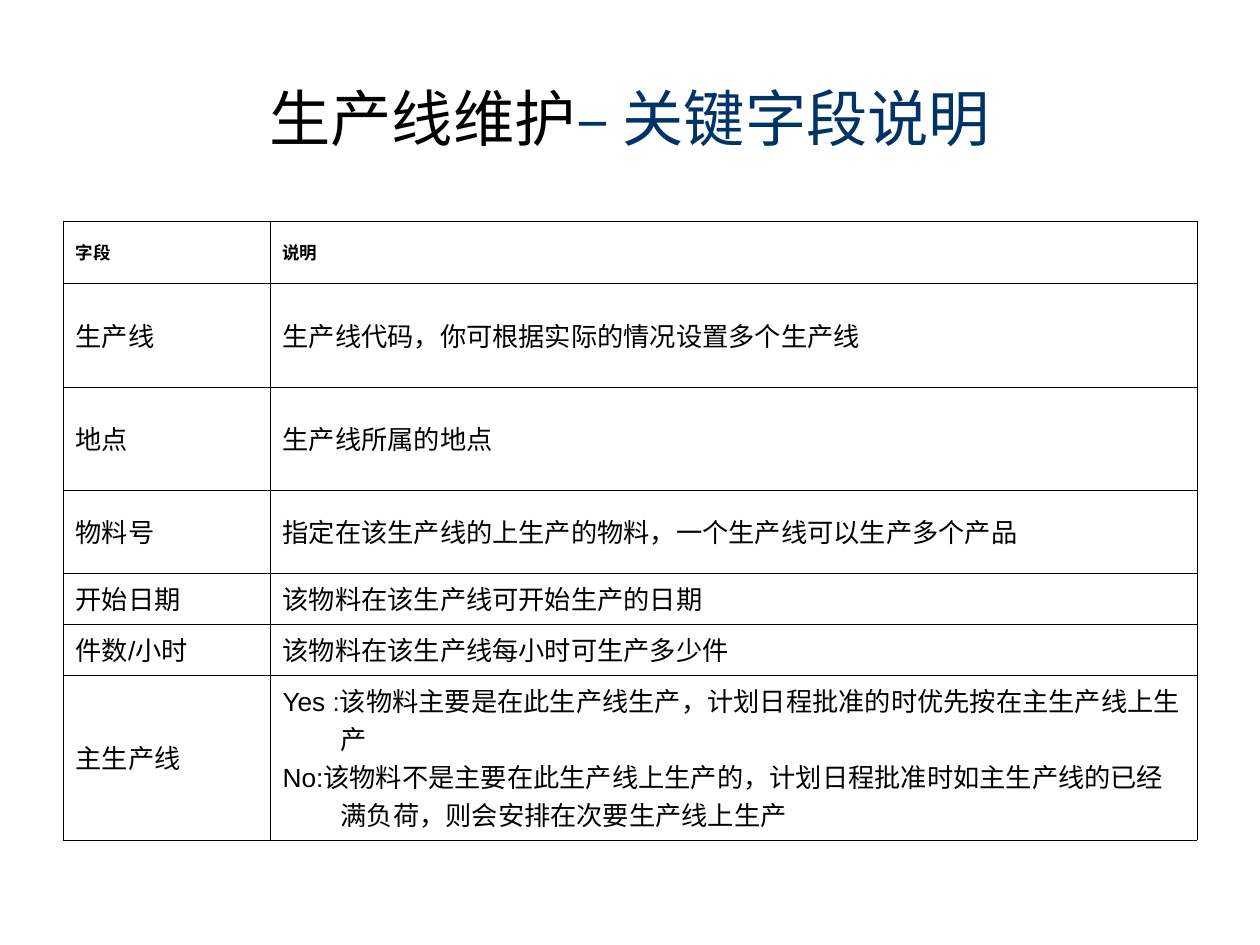
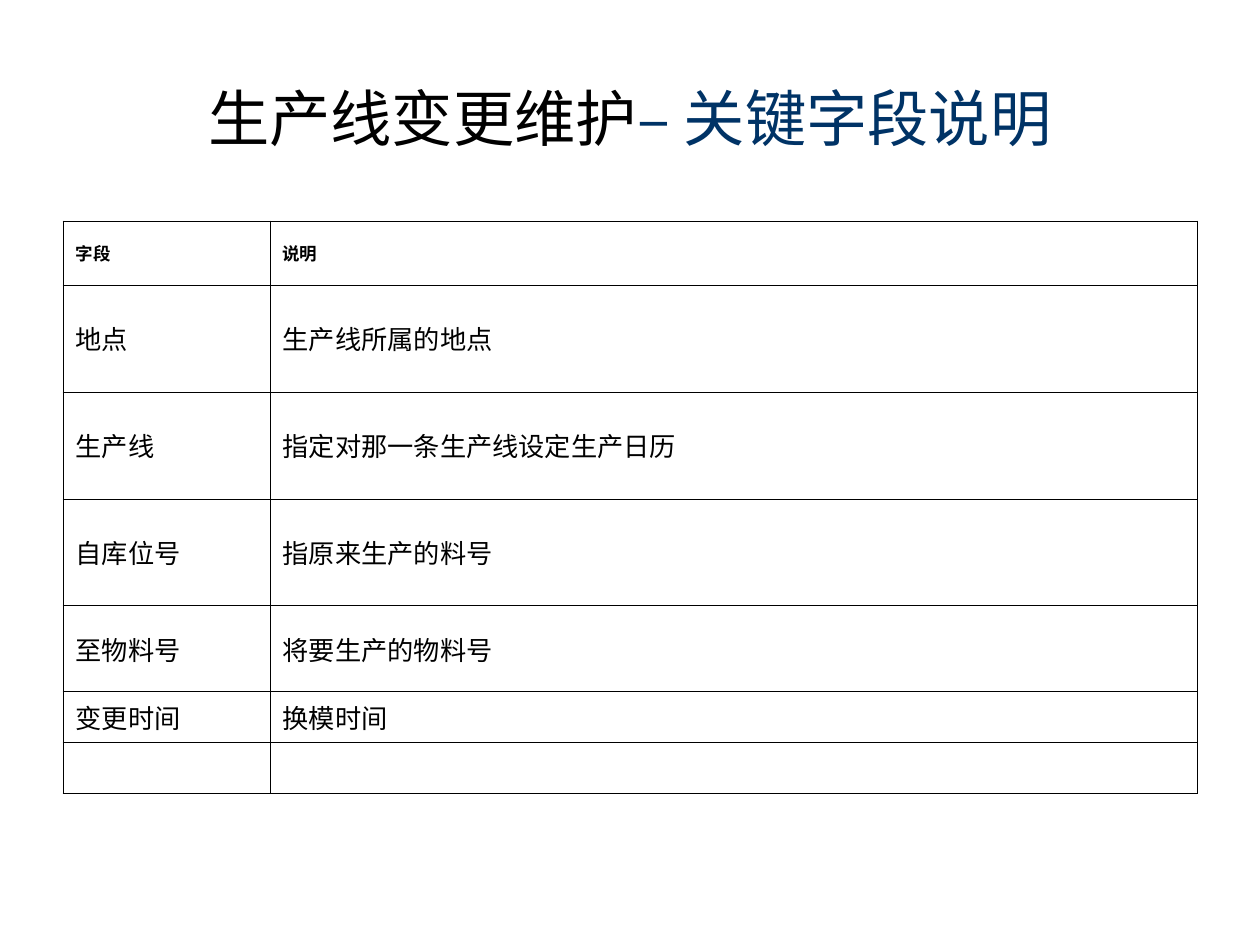
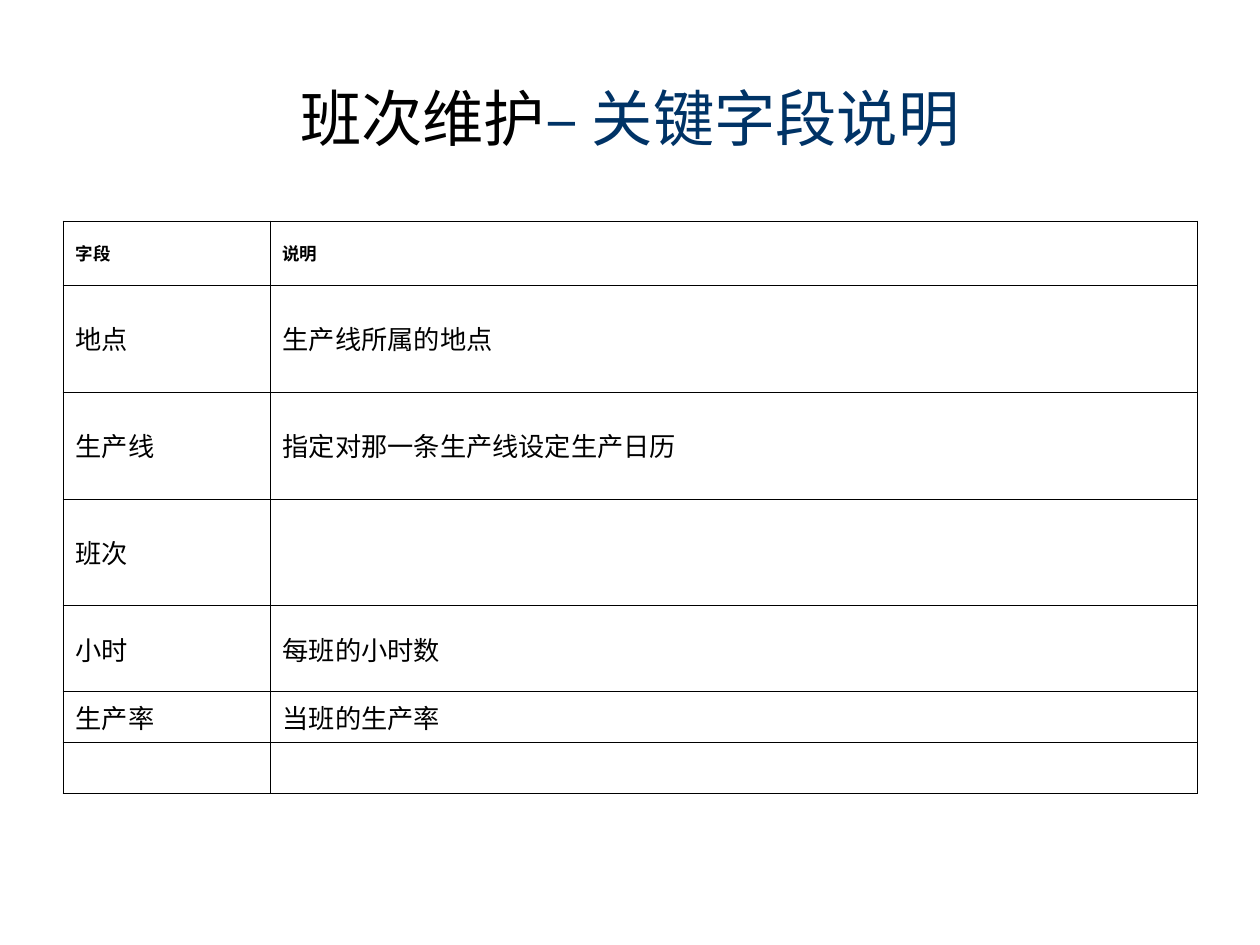
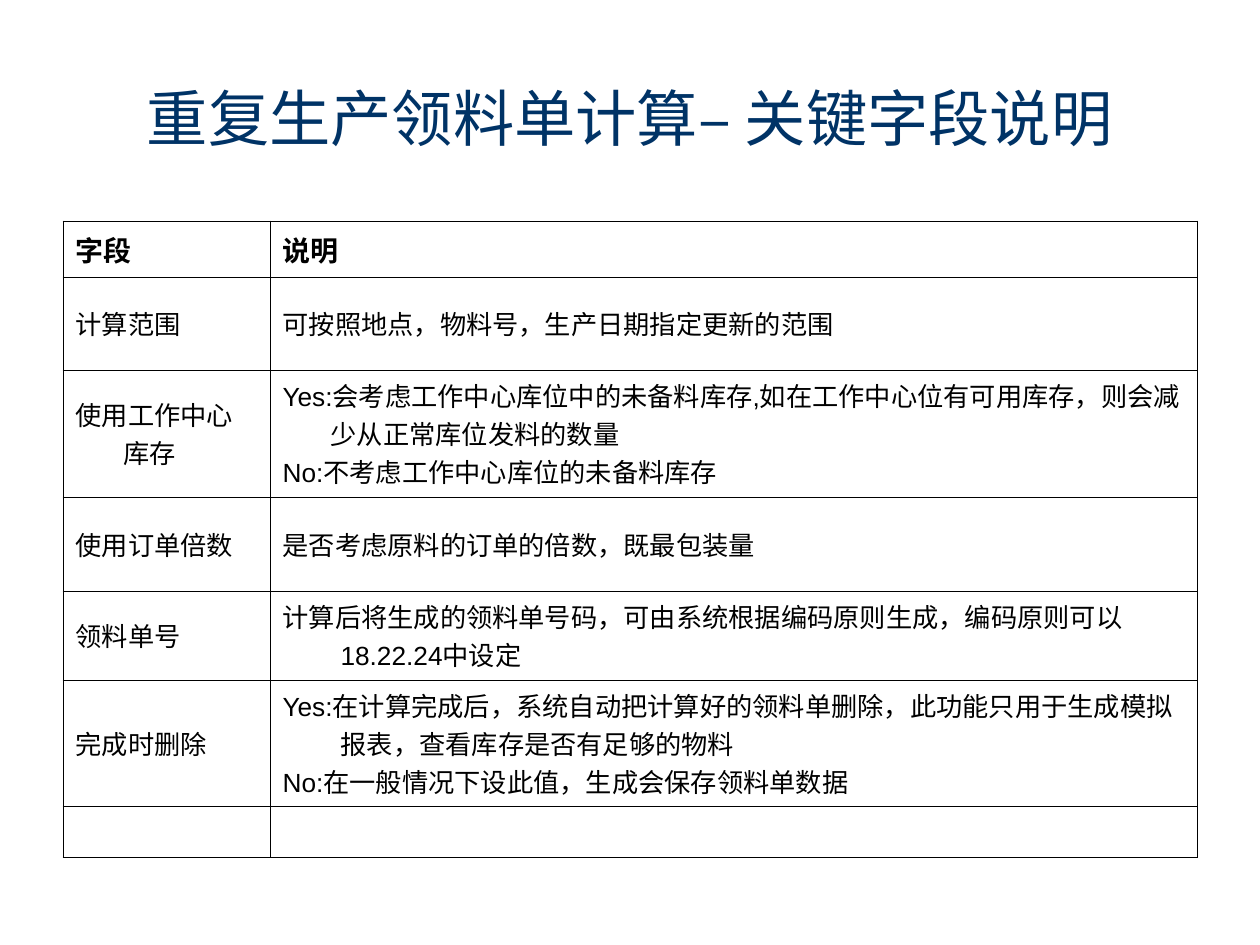
from lxml import etree
from pptx import Presentation
from pptx import util as u
from pptx.dml import color
from pptx.enum import text
from pptx.oxml import ns

PIXEL = 914400 // 126
COLORS = {"ink": "000000", "title": "003366"}
TITLE_FONT = "Montserrat"
HEADER_FONT = "Noto Sans CJK SC"
BODY_FONT = "Arial"
EAST_ASIAN_FONT = "Noto Sans CJK SC"
BORDER_WIDTH = u.Pt(0.45)
COLUMN_WIDTHS = [207, 927]
NARROW_INDENT, WIDE_INDENT = 48, 58
SUFFIX = "– 关键字段说明"
HEADER = ("字段", "说明")
LINE_ROWS = [64, 107, 107, 107, 86, 51, 49]

pages = [
    {
        "title": "生产线维护", "title_color": "ink", "header_size": 10, "wide_from": 3,
        "heights": [62, 104, 103, 83, 51, 51, 165],
        "rows": [
            ("生产线", "生产线代码，你可根据实际的情况设置多个生产线"),
            ("地点", "生产线所属的地点"),
            ("物料号", "指定在该生产线的上生产的物料，一个生产线可以生产多个产品"),
            ("开始日期", "该物料在该生产线可开始生产的日期"),
            ("件数/小时", "该物料在该生产线每小时可生产多少件"),
            ("主生产线", "Yes :该物料主要是在此生产线生产，计划日程批准的时优先按在主生产线上生产\n"
                     "No:该物料不是主要在此生产线上生产的，计划日程批准时如主生产线的已经满负荷，"
                     "则会安排在次要生产线上生产"),
        ],
    },
    {
        "title": "生产线变更维护", "title_color": "ink", "header_size": 10, "wide_from": 4,
        "heights": LINE_ROWS,
        "rows": [
            ("地点", "生产线所属的地点"),
            ("生产线", "指定对那一条生产线设定生产日历"),
            ("自库位号", "指原来生产的料号"),
            ("至物料号", "将要生产的物料号"),
            ("变更时间", "换模时间"),
            ("", ""),
        ],
    },
    {
        "title": "班次维护", "title_color": "ink", "header_size": 10, "wide_from": 4,
        "heights": LINE_ROWS,
        "rows": [
            ("地点", "生产线所属的地点"),
            ("生产线", "指定对那一条生产线设定生产日历"),
            ("班次", ""),
            ("小时", "每班的小时数"),
            ("生产率", "当班的生产率"),
            ("", ""),
        ],
    },
    {
        "title": "重复生产领料单计算", "title_color": "title", "header_size": 16, "wide_from": 4,
        "heights": [56, 93, 127, 94, 89, 127, 43],
        "rows": [
            ("计算范围", "可按照地点，物料号，生产日期指定更新的范围"),
            ("使用工作中心库存", "Yes:会考虑工作中心库位中的未备料库存,如在工作中心位有可用库存，"
                         "则会减少从正常库位发料的数量\n"
                         "No:不考虑工作中心库位的未备料库存"),
            ("使用订单倍数", "是否考虑原料的订单的倍数，既最包装量"),
            ("领料单号", "计算后将生成的领料单号码，可由系统根据编码原则生成，"
                     "编码原则可以18.22.24中设定"),
            ("完成时删除", "Yes:在计算完成后，系统自动把计算好的领料单删除，"
                      "此功能只用于生成模拟报表，查看库存是否有足够的物料\n"
                      "No:在一般情况下设此值，生成会保存领料单数据"),
            ("", ""),
        ],
    },
]


def set_font(font, name, size, bold=False):
    font.name = name
    font.size = u.Pt(size)
    font.bold = bold
    east_asian = etree.SubElement(font._element, ns.qn("a:ea"))
    east_asian.set("typeface", EAST_ASIAN_FONT)


def draw_borders(cell):
    properties = cell._tc.get_or_add_tcPr()
    for side in ("a:lnL", "a:lnR", "a:lnT", "a:lnB"):
        line = etree.SubElement(properties, ns.qn(side), w=str(int(BORDER_WIDTH)))
        fill = etree.SubElement(line, ns.qn("a:solidFill"))
        etree.SubElement(fill, ns.qn("a:srgbClr"), val=COLORS["ink"])


deck = Presentation()
deck.slide_width = 1260 * PIXEL
deck.slide_height = 945 * PIXEL

for page in pages:
    slide = deck.slides.add_slide(deck.slide_layouts[6])

    title = slide.shapes.add_textbox(63 * PIXEL, 38 * PIXEL, 1134 * PIXEL, 158 * PIXEL)
    title.text_frame.word_wrap = True
    title.text_frame.vertical_anchor = text.MSO_ANCHOR.MIDDLE
    para = title.text_frame.paragraphs[0]
    para.alignment = text.PP_ALIGN.CENTER
    set_font(para.font, TITLE_FONT, 35)
    for words, shade in ((page["title"], page["title_color"]), (SUFFIX, "title")):
        span = para.add_run()
        span.text = words
        span.font.color.rgb = color.RGBColor.from_string(COLORS[shade])

    rows = [HEADER] + page["rows"]
    heights = page["heights"]
    frame = slide.shapes.add_table(len(rows), len(COLUMN_WIDTHS), 63 * PIXEL, 221 * PIXEL,
                                   sum(COLUMN_WIDTHS) * PIXEL, sum(heights) * PIXEL)
    table = frame.table
    table.first_row = False
    table.horz_banding = False
    for column, width in zip(table.columns, COLUMN_WIDTHS):
        column.width = width * PIXEL

    for row_index, (row, height) in enumerate(zip(rows, heights)):
        table.rows[row_index].height = height * PIXEL
        for column_index, words in enumerate(row):
            cell = table.cell(row_index, column_index)
            draw_borders(cell)
            cell.fill.background()
            cell.vertical_anchor = text.MSO_ANCHOR.MIDDLE
            if not words:
                continue
            cell.text = words
            wide = column_index == 1 and row_index >= page["wide_from"]
            indent = (WIDE_INDENT if wide else NARROW_INDENT) * PIXEL
            for para in cell.text_frame.paragraphs:
                layout = para._p.get_or_add_pPr()
                layout.set("marL", str(indent))
                layout.set("indent", str(-indent))
                para.font.color.rgb = color.RGBColor.from_string(COLORS["ink"])
                if row_index == 0:
                    set_font(para.font, HEADER_FONT, page["header_size"], bold=True)
                else:
                    set_font(para.font, BODY_FONT, 15)

deck.save("out.pptx")
